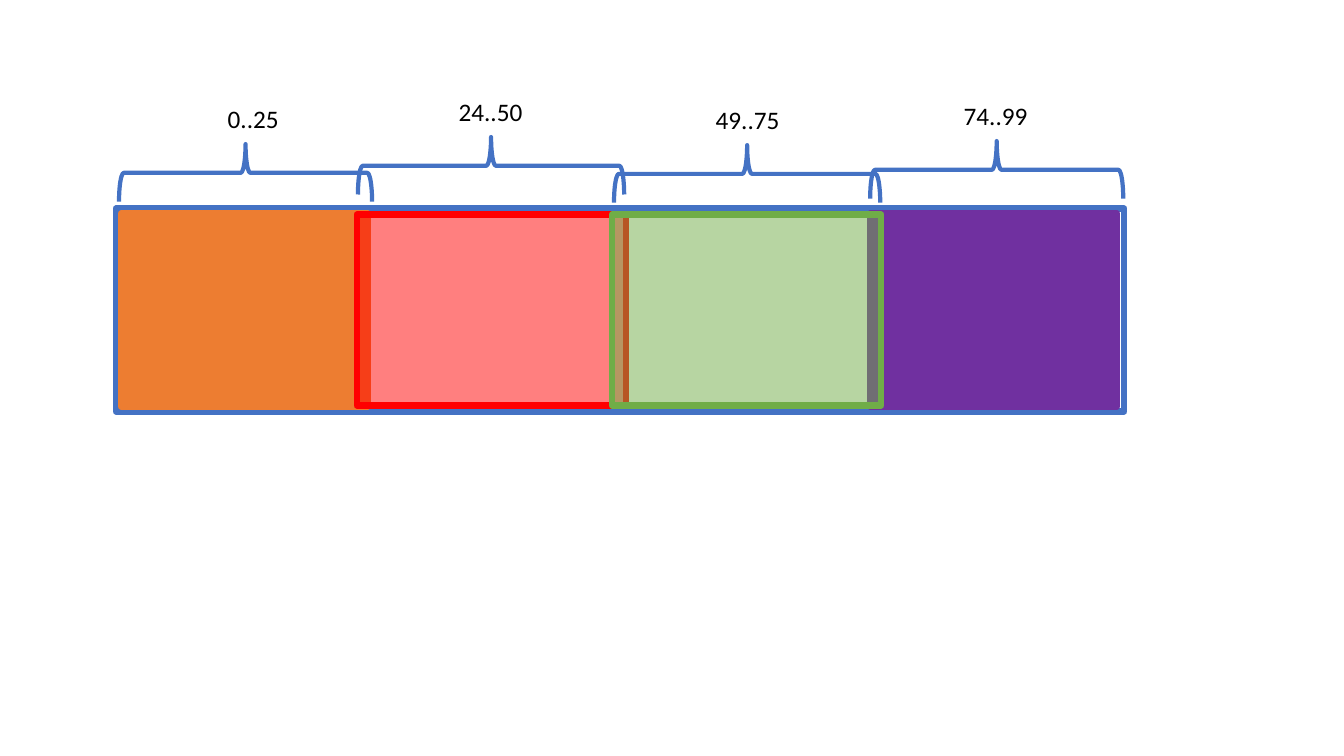
import pptx
import pptx.util
import pptx.dml.color
import pptx.enum.shapes
import pptx.oxml
import pptx.oxml.ns
import lxml.etree

Inches, Pt = pptx.util.Inches, pptx.util.Pt
RGBColor = pptx.dml.color.RGBColor
MSO_SHAPE = pptx.enum.shapes.MSO_SHAPE

BLUE = RGBColor(0x44, 0x72, 0xC4)
ORANGE = RGBColor(0xED, 0x7D, 0x31)
PURPLE = RGBColor(0x70, 0x30, 0xA0)
RED = RGBColor(0xFF, 0x00, 0x00)
GREEN = RGBColor(0x70, 0xAD, 0x47)
BLACK = RGBColor(0x00, 0x00, 0x00)

BRACE_DEPTH = 0.57


def add_outlined(s, kind, box, line, width, fill=None, alpha=None):
    """Add a preset shape with an outline and an optional, possibly translucent, fill."""
    sp = s.shapes.add_shape(kind, *map(Inches, box))
    sp.shadow.inherit = False
    sp.line.color.rgb = line
    sp.line.width = Pt(width)
    if fill is None:
        sp.fill.background()
    else:
        sp.fill.solid()
        sp.fill.fore_color.rgb = fill
    if alpha is not None:
        clr = sp.fill._xPr.find(".//" + pptx.oxml.ns.qn("a:srgbClr"))
        lxml.etree.SubElement(clr, pptx.oxml.ns.qn("a:alpha")).set("val", str(alpha * 1000))
    return sp


def add_array(s, box):
    """Draw the array frame with its four overlapping chunks."""
    left, top, _, height = box
    add_outlined(s, MSO_SHAPE.RECTANGLE, box, BLUE, 4.75)
    chunks = [
        (0.05, 2.45, 0.05, ORANGE, None),
        (7.48, 2.45, 0.05, PURPLE, None),
        (2.39, 2.67, 0.06, RED, 50),
        (4.92, 2.67, 0.06, GREEN, 50),
    ]
    for dx, width, inset, color, alpha in chunks:
        chunk = left + dx, top + inset, width, height - 2 * inset
        add_outlined(s, MSO_SHAPE.RECTANGLE, chunk, color, 4.75, color, alpha)


def add_range(s, box, text, label_left):
    """Draw an upward brace filling the box, with its index range above."""
    left, top, width, height = box
    turned = left + (width - height) / 2, top + (height - width) / 2, height, width
    add_outlined(s, MSO_SHAPE.LEFT_BRACE, turned, BLUE, 3).rotation = 90
    tb = s.shapes.add_textbox(Inches(label_left), Inches(top - 0.45), Inches(0.84), Inches(0.4))
    tf = tb.text_frame
    tf.word_wrap = True
    p = tf.paragraphs[0]
    p.text = text
    p.font.name = "Calibri"
    p.font.size = Pt(18)
    p.font.color.rgb = BLACK


def add_chunk_slide(prs):
    """Build the slide of an array split into overlapping index ranges."""
    s = prs.slides.add_slide(prs.slide_layouts[6])
    add_array(s, (1.15, 2.07, 10, 2.01))
    ranges = [
        ("0..25", 1.18, 1.43, 2.51, 2.16),
        ("24..50", 3.55, 1.36, 2.64, 4.45),
        ("49..75", 6.09, 1.44, 2.64, 7),
        ("74..99", 8.63, 1.4, 2.51, 9.46),
    ]
    for text, left, top, width, label_left in ranges:
        add_range(s, (left, top, width, BRACE_DEPTH), text, label_left)


prs = pptx.Presentation()
prs.slide_width, prs.slide_height = Inches(13.33), Inches(7.5)
add_chunk_slide(prs)
prs.save("out.pptx")
